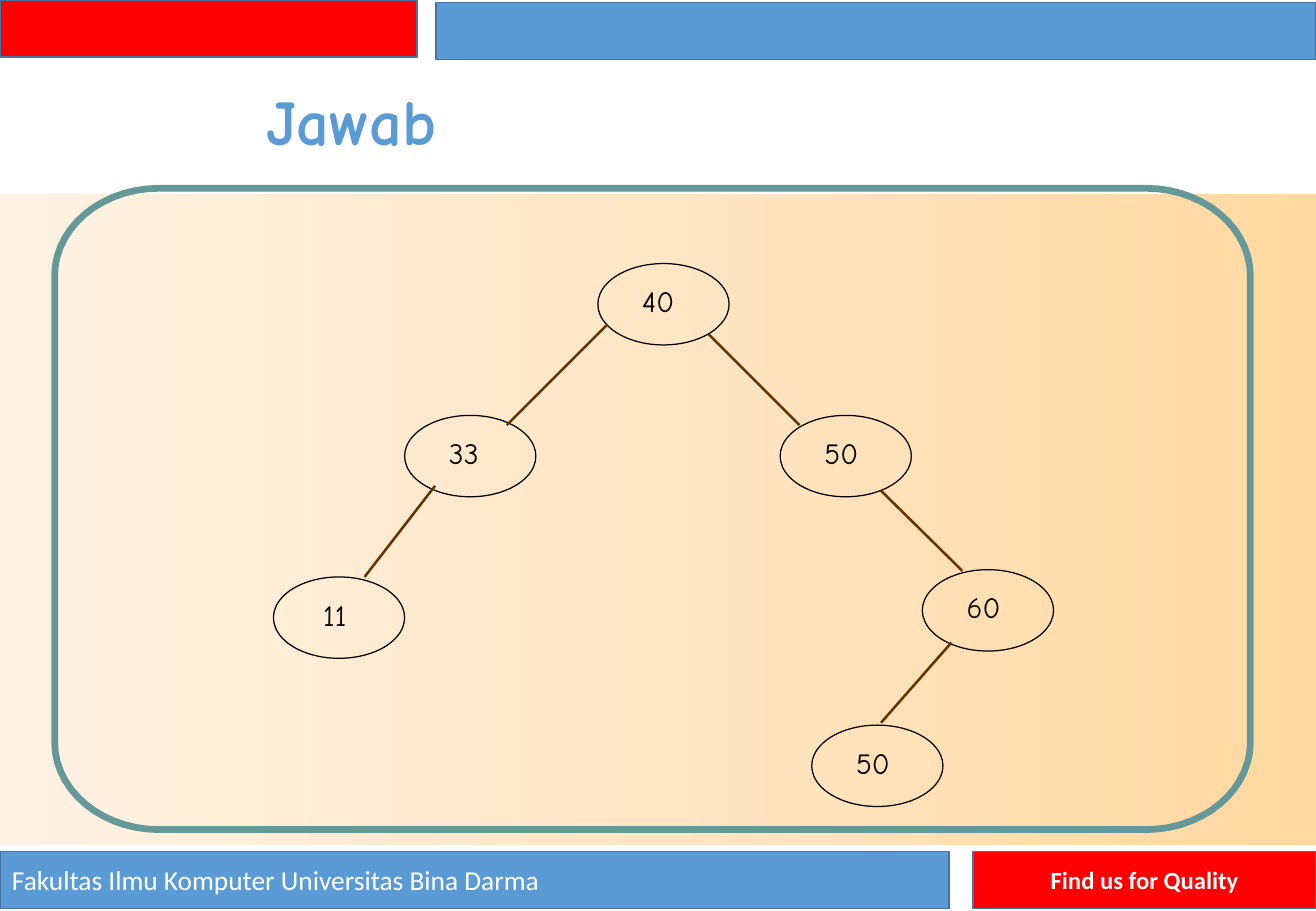
import copy
import math
from typing import NamedTuple

from lxml import etree
from pptx import Presentation
from pptx import util as u
from pptx.dml.color import RGBColor
from pptx.enum import shapes, text
from pptx.oxml.ns import qn

BLUE, RED, BORDER = "5B9BD5", "FF0000", "43739E"
TEAL, BROWN, BLACK, WHITE = "659898", "663300", "000000", "FFFFFF"
NODE_W, NODE_H = 1.08, 0.67
LABEL_X, LABEL_Y, LABEL_H = 0.56, 0.19, 0.31


class Bar(NamedTuple):
    x: float
    y: float
    w: float
    fill: str
    label: str = ""
    fmt: dict = {}
    align: text.PP_ALIGN = text.PP_ALIGN.LEFT


class Node(NamedTuple):
    value: str
    x: float
    y: float
    label_w: float = 0.41


class Edge(NamedTuple):
    x1: float
    y1: float
    x2: float
    y2: float


BARS = [
    Bar(0, 0, 3.43, RED),
    Bar(3.59, 0.02, 7.24, BLUE),
    Bar(0, 7.01, 7.81, BLUE, "Fakultas Ilmu Komputer Universitas Bina Darma",
        {"size": u.Pt(16.2)}),
    Bar(8.01, 7.01, 2.82, RED, "Find us for Quality",
        {"size": u.Pt(14.6), "bold": True}, text.PP_ALIGN.CENTER),
]
NODES = [
    Node("40", 4.92, 2.17),
    Node("33", 3.33, 3.42),
    Node("50", 6.42, 3.42),
    Node("60", 7.59, 4.69),
    Node("11", 2.25, 4.75, 0.32),
    Node("50", 6.68, 5.97),
]
EDGES = [
    Edge(5, 2.67, 4.17, 3.5),
    Edge(3.58, 4, 3, 4.75),
    Edge(5.83, 2.75, 6.58, 3.5),
    Edge(7.25, 4.04, 7.92, 4.7),
    Edge(7.83, 5.29, 7.25, 5.95),
]


def rgb(value: str) -> RGBColor:
    return RGBColor.from_string(value)


def style_line(sp, color: str, width: float) -> None:
    sp.line.color.rgb = rgb(color)
    sp.line.width = u.Pt(width)


def write(p, words: str, color: str, fmt: dict):
    r = p.add_run()
    r.text = words
    for name, value in fmt.items():
        setattr(r.font, name, value)
    r.font.color.rgb = rgb(color)
    return r


def add_shape(s, kind, x: float, y: float, w: float, h: float):
    sp = s.shapes.add_shape(kind, *map(u.Inches, (x, y, w, h)))
    sp.shadow.inherit = False
    return sp


def draw_backdrop(s) -> None:
    sp = add_shape(s, shapes.MSO_SHAPE.RECTANGLE, 0, 1.6, 10.83, 5.36)
    sp.line.fill.background()
    sp.fill.gradient()
    sp.fill.gradient_angle = 180
    stop_list = sp._element.spPr.find(".//" + qn("a:gsLst"))
    stop_list.append(copy.deepcopy(stop_list[0]))
    colors = ["FFD8A0", "FFE6C5", "FFF2E3"]
    for i, (stop, color) in enumerate(zip(sp.fill.gradient_stops, colors)):
        stop.position = i / 2
        stop.color.rgb = rgb(color)


def draw_bar(s, bar: Bar) -> None:
    sp = add_shape(s, shapes.MSO_SHAPE.RECTANGLE, bar.x, bar.y, bar.w, 0.47)
    sp.fill.solid()
    sp.fill.fore_color.rgb = rgb(bar.fill)
    style_line(sp, BORDER, 1)
    if bar.label:
        tf = sp.text_frame
        tf.vertical_anchor = text.MSO_ANCHOR.MIDDLE
        p = tf.paragraphs[0]
        p.alignment = bar.align
        write(p, bar.label, WHITE, {"name": "Calibri", **bar.fmt})


def draw_frame(s, x: float, y: float, w: float, h: float,
               rx: float, ry: float, steps: int = 14) -> None:
    # Quarter ellipses, clockwise from the top left corner
    corners = [(x + rx, y + ry), (x + w - rx, y + ry),
               (x + w - rx, y + h - ry), (x + rx, y + h - ry)]
    points = []
    for i, (cx, cy) in enumerate(corners):
        for k in range(steps + 1):
            a = math.pi * (1 + i / 2 + k / steps / 2)
            points.append((u.Inches(cx + rx * math.cos(a)),
                           u.Inches(cy + ry * math.sin(a))))
    builder = s.shapes.build_freeform(*points[0])
    builder.add_line_segments(points[1:], close=True)
    sp = builder.convert_to_shape()
    sp.shadow.inherit = False
    sp.fill.background()
    style_line(sp, TEAL, 4)


def draw_text(s, words: str, x: float, y: float, w: float, h: float, color: str,
              fmt: dict, spacing: float, baseline: int) -> None:
    tf = s.shapes.add_textbox(*map(u.Inches, (x, y, w, h))).text_frame
    tf.word_wrap = True
    for side in ("left", "top", "right", "bottom"):
        setattr(tf, f"margin_{side}", 0)
    p = tf.paragraphs[0]
    p.line_spacing = u.Pt(spacing)
    p._p.get_or_add_pPr().set("marL", str(u.Inches(0.01)))
    r = write(p, words, color, {"name": "Comic Neue", **fmt})
    r._r.get_or_add_rPr().set("baseline", str(baseline))


def draw_node(s, node: Node) -> None:
    sp = add_shape(s, shapes.MSO_SHAPE.OVAL, node.x, node.y, NODE_W, NODE_H)
    sp.fill.background()
    style_line(sp, BLACK, 0.75)
    draw_text(s, node.value, node.x + LABEL_X - node.label_w / 2, node.y + LABEL_Y,
              node.label_w, LABEL_H, BLACK, {"size": u.Pt(30)}, 22, 2000)


def draw_edge(s, edge: Edge) -> None:
    sp = s.shapes.add_connector(shapes.MSO_CONNECTOR.STRAIGHT, *map(u.Inches, edge))
    style_line(sp, BROWN, 1.5)
    etree.SubElement(sp._element.spPr, qn("a:effectLst"))


def main() -> None:
    prs = Presentation()
    prs.slide_width, prs.slide_height = u.Inches(10.83), u.Inches(7.5)
    s = prs.slides.add_slide(prs.slide_layouts[6])

    # Backdrop, header and footer
    draw_backdrop(s)
    for bar in BARS:
        draw_bar(s, bar)

    # Title and frame
    draw_frame(s, 0.45, 1.55, 9.84, 5.28, 0.86, 0.72)
    draw_text(s, "Jawab", 2.18, 0.75, 1.99, 0.64, BLUE,
              {"size": u.Pt(66), "bold": True}, 46, 1000)

    # Binary tree
    for node in NODES:
        draw_node(s, node)
    for edge in EDGES:
        draw_edge(s, edge)

    prs.save("out.pptx")


if __name__ == "__main__":
    main()
